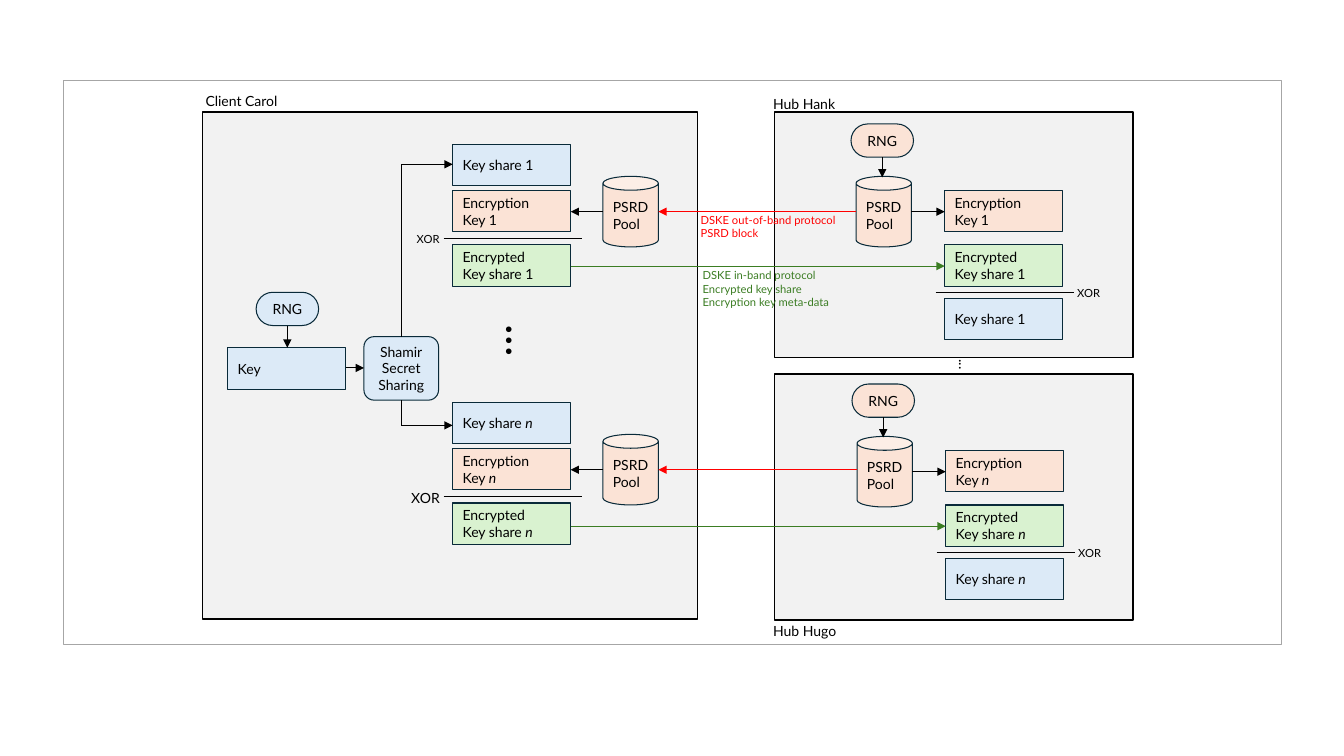
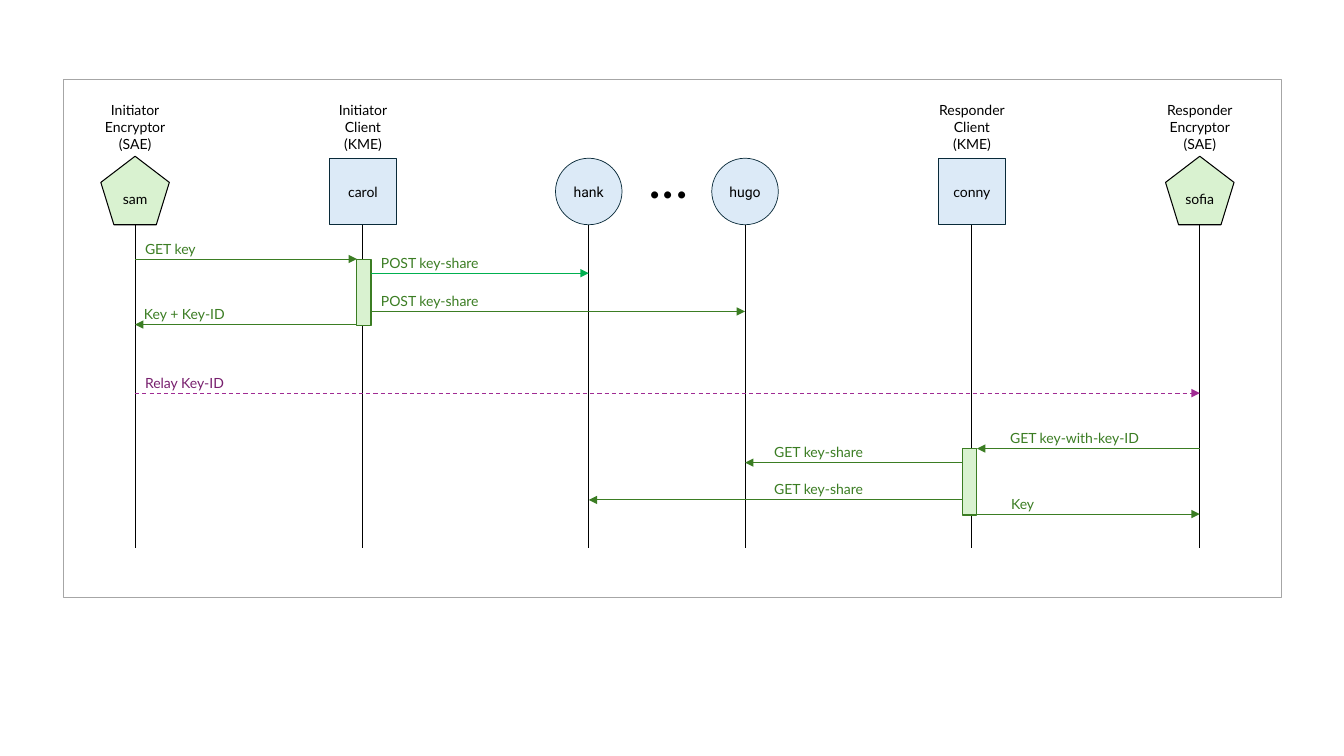
import pptx
import pptx.util
import pptx.dml.color
import pptx.enum.dml
import pptx.enum.shapes
import pptx.enum.text
import pptx.oxml.ns
import lxml.etree
from dataclasses import dataclass

SHAPE = pptx.enum.shapes.MSO_SHAPE
ALIGN = pptx.enum.text.PP_ALIGN

# Layout grid: every position and size counts cells of this grid
COLUMNS, ROWS = 1333, 750
CELL = pptx.util.Inches(0.01)


@dataclass(frozen=True)
class Theme:
    font: str = "Lato"
    node_font: str = "Roboto"
    black: str = "000000"
    outline: str = "092A39"
    frame: str = "A6A6A6"
    panel: str = "F2F2F2"
    blue: str = "DCEAF7"
    peach: str = "FBE3D6"
    mint: str = "D9F2D0"
    red: str = "FF0000"
    green: str = "3B7D23"
    bright_green: str = "00B050"
    magenta: str = "A02B93"
    purple: str = "78206E"
    body: float = 10
    small: float = 8
    tiny_dots: float = 10.5
    tall_dots: float = 32
    wide_dots: float = 40
    thin: float = 0.5
    rule: float = 0.75
    border: float = 1


T = Theme()

# Slide 1 content: key distribution
PANELS = [(768, 371, 356, 244), (768, 111, 356, 244), (201, 111, 491, 503)]
PANEL_NAMES = [("Client Carol", 194, 80), ("Hub Hank", 757, 83), ("Hub Hugo", 757, 605)]
CARD_W, CARD_H = 117, 41
POOL_W, POOL_H = 55, 70
RNG_W, RNG_H = 62, 33
CLIENT = dict(share=-46, bar=48, xor=-58, pool=149)
HUB = dict(share=107, bar=101, xor=109, pool=-88)
# side, left and top of the encryption key card, share index, XOR size
STACKS = [
    (CLIENT, 449, 189, "1", T.small),
    (CLIENT, 449, 445, "n", T.body),
    (HUB, 937, 189, "1", T.small),
    (HUB, 938, 447, "n", T.small),
]
PROTOCOLS = [
    (685, 204, T.red, ["DSKE out-of-band protocol", "PSRD block"]),
    (687, 266, T.green, ["DSKE in-band protocol", "Encrypted key share",
                         "Encryption key meta-data"]),
]
MORE_SHARES = [(483, 329, T.tall_dots), (920, 363, T.tiny_dots)]

# Slide 2 content: key delivery sequence
LIFELINE_TOP, LIFELINE_END = 223, 544
# name, centre, kind, heading
ACTORS = [
    ("sam", 134, "encryptor", ["Initiator", "Encryptor", "(SAE)"]),
    ("carol", 360, "client", ["Initiator", "Client", "(KME)"]),
    ("hank", 584, "hub", None),
    ("hugo", 739, "hub", None),
    ("conny", 964, "client", ["Responder", "Client", "(KME)"]),
    ("sofia", 1190, "encryptor", ["Responder", "Encryptor", "(SAE)"]),
]
# kind: preset, size, fill, outline, outline width, font
ACTOR_STYLES = {
    "encryptor": (SHAPE.REGULAR_PENTAGON, 68, T.mint, T.black, T.rule, T.font),
    "client": (SHAPE.RECTANGLE, 66, T.blue, T.outline, T.rule, T.font),
    "hub": (SHAPE.OVAL, 66, T.blue, T.outline, T.thin, T.node_font),
}
ACTIVE_W, ACTIVE_H = 14, 66
ACTIVE = [(354, 257), (955, 445)]
CAROL_IN, CONNY_IN = (left for left, top in ACTIVE)
CAROL_OUT, CONNY_OUT = CAROL_IN + ACTIVE_W, CONNY_IN + ACTIVE_W
SAM, HANK, HUGO, SOFIA = (ACTORS[i][1] for i in (0, 2, 3, 5))
# label, label left, row, from, to, line colour
MESSAGES = [
    ("GET key", 134, 257, SAM, CAROL_IN, T.green),
    ("POST key-share", 368, 271, CAROL_OUT, HANK, T.bright_green),
    ("POST key-share", 368, 309, CAROL_OUT, HUGO, T.green),
    ("Key + Key-ID", 133, 322, CAROL_IN, SAM, T.green),
    ("Relay Key-ID", 134, 390, SAM, SOFIA, T.magenta),
    ("GET key-with-key-ID", 992, 445, SOFIA, CONNY_OUT, T.green),
    ("GET key-share", 758, 459, CONNY_IN, HUGO, T.green),
    ("GET key-share", 758, 496, CONNY_IN, HANK, T.green),
    ("Key", 993, 510, CONNY_OUT, SOFIA, T.green),
]


def rgb(value):
    return pptx.dml.color.RGBColor.from_string(value)


def write(shape, lines, size=T.body, color=T.black, align=ALIGN.LEFT, font=T.font):
    """Fill a shape with lines; a closing index "n" is set in italics."""
    frame = shape.text_frame
    frame.word_wrap = True
    frame.vertical_anchor = pptx.enum.text.MSO_ANCHOR.MIDDLE
    for i, line in enumerate(lines):
        paragraph = frame.paragraphs[0] if i == 0 else frame.add_paragraph()
        has_index = line.endswith(" n")
        paragraph.text = line[:-1] if has_index else line
        paragraph.alignment = align
        if has_index:
            index = paragraph.add_run()
            index.text = "n"
            index.font.italic = True
        for run in paragraph.runs:
            run.font.name = font
            run.font.size = pptx.util.Pt(size)
            run.font.color.rgb = rgb(color)


def text(slide, left, top, width, height, lines, rotation=0, **style):
    box = slide.shapes.add_textbox(*(CELL * v for v in (left, top, width, height)))
    box.rotation = rotation
    write(box, lines, **style)


def block(slide, preset, left, top, width, height, fill, line=T.outline,
          weight=T.rule, lines=(), corner=None, **style):
    shape = slide.shapes.add_shape(preset, *(CELL * v for v in (left, top, width, height)))
    shape.shadow.inherit = False
    if fill:
        shape.fill.solid()
        shape.fill.fore_color.rgb = rgb(fill)
    else:
        shape.fill.background()
    shape.line.color.rgb = rgb(line)
    shape.line.width = pptx.util.Pt(weight)
    if corner is not None:
        shape.adjustments[0] = corner
    if style.get("align") == ALIGN.CENTER:
        frame = shape.text_frame
        frame.margin_left = frame.margin_right = frame.margin_top = frame.margin_bottom = 0
    write(shape, lines, **style)


def line(slide, x1, y1, x2, y2, color=T.black, arrow=False, dashed=False):
    link = slide.shapes.add_connector(pptx.enum.shapes.MSO_CONNECTOR.STRAIGHT,
                                      *(CELL * v for v in (x1, y1, x2, y2)))
    link.line.color.rgb = rgb(color)
    link.line.width = pptx.util.Pt(T.rule)
    if dashed:
        link.line.dash_style = pptx.enum.dml.MSO_LINE.DASH
    qn = pptx.oxml.ns.qn
    if arrow:
        lxml.etree.SubElement(link.line._get_or_add_ln(), qn("a:tailEnd"), type="triangle")
    lxml.etree.SubElement(link._element.spPr, qn("a:effectLst"))


def outer_frame(slide, top, height):
    block(slide, SHAPE.RECTANGLE, 63, top, 1208, height, None, T.frame)


def card(slide, left, top, fill, lines):
    block(slide, SHAPE.RECTANGLE, left, top, CARD_W, CARD_H, fill, lines=lines)


def generator(slide, left, top, fill, target):
    """RNG pill with an arrow down to the target row."""
    block(slide, SHAPE.ROUNDED_RECTANGLE, left, top, RNG_W, RNG_H, fill,
          lines=["RNG"], corner=0.5, align=ALIGN.CENTER)
    middle = left + RNG_W / 2
    line(slide, middle, top + RNG_H, middle, target, arrow=True)


def key_stack(slide, side, left, top, index, xor_size):
    """Encryption key, encrypted share, plain share and the PSRD pool."""
    card(slide, left, top + side["share"], T.blue, [f"Key share {index}"])
    card(slide, left, top + 54, T.mint, ["Encrypted", f"Key share {index}"])
    card(slide, left, top, T.peach, ["Encryption", f"Key {index}"])
    bar = top + side["bar"]
    line(slide, left - 9, bar, left + CARD_W + 11, bar)
    text(slide, left + side["xor"], bar - 20, 55, 41, ["XOR"],
         size=xor_size, align=ALIGN.RIGHT)
    pool = left + side["pool"]
    block(slide, SHAPE.CAN, pool, top - 14, POOL_W, POOL_H, T.peach, lines=["PSRD\vPool"])
    if pool > left:
        ends = pool, left + CARD_W
    else:
        ends = pool + POOL_W, left
    line(slide, ends[0], top + 21, ends[1], top + 21, arrow=True)


def distribution_slide(slide):
    for panel in PANELS:
        block(slide, SHAPE.RECTANGLE, *panel, T.panel, T.black, T.border)
    for stack in STACKS:
        key_stack(slide, *stack)

    # Client key, split into shares
    card(slide, 226, 345, T.blue, ["Key"])
    generator(slide, 254, 290, T.blue, 345)
    block(slide, SHAPE.ROUNDED_RECTANGLE, 361, 334, 74, 63, T.blue, corner=0.16,
          lines=["Shamir", "Secret", "Sharing"], align=ALIGN.CENTER)
    line(slide, 226 + CARD_W, 365, 361, 365, arrow=True)
    for start, row in ((334, 163), (397, 422)):
        line(slide, 398, start, 398, row)
        line(slide, 398, row, 449, row, arrow=True)

    # Traffic between the client and each hub
    for client, hub in zip(STACKS[:2], STACKS[2:]):
        _, client_left, client_top, *_ = client
        _, hub_left, hub_top, *_ = hub
        pool = hub_left + HUB["pool"]
        line(slide, pool, client_top + 21, client_left + CLIENT["pool"] + POOL_W,
             client_top + 21, T.red, arrow=True)
        line(slide, client_left + CARD_W, hub_top + 75, hub_left, hub_top + 75,
             T.green, arrow=True)
        generator(slide, pool - 5, hub_top - 66, T.peach, hub_top - 13)

    # Names, ellipses and protocol notes
    for name, left, top in PANEL_NAMES:
        text(slide, left, top, 153, 41, [name])
    for left, top, size in MORE_SHARES:
        text(slide, left, top, 74, 41, ["..."], rotation=90, size=size)
    outer_frame(slide, 80, 559)
    for left, top, color, lines in PROTOCOLS:
        text(slide, left, top, 251, 41, lines, size=T.small, color=color)


def sequence_slide(slide):
    outer_frame(slide, 79, 514)

    # Actors with their lifelines
    for name, centre, kind, heading in ACTORS:
        preset, size, fill, outline, weight, font = ACTOR_STYLES[kind]
        block(slide, preset, centre - size / 2, LIFELINE_TOP - size, size, size, fill,
              outline, weight, [name], align=ALIGN.CENTER, font=font)
        line(slide, centre, LIFELINE_TOP, centre, LIFELINE_END)
        if heading:
            text(slide, centre - 44, 93, 88, 66, heading, align=ALIGN.CENTER)
    text(slide, 597, 142, 132, 66, ["..."], size=T.wide_dots, align=ALIGN.CENTER)

    # Active periods and messages
    for left, top in ACTIVE:
        block(slide, SHAPE.RECTANGLE, left, top, ACTIVE_W, ACTIVE_H, T.mint, T.green)
    for label, left, row, start, end, color in MESSAGES:
        relayed = color == T.magenta
        line(slide, start, row, end, row, color, arrow=True, dashed=relayed)
        text(slide, left, row - 27, 197, 33, [label],
             color=T.purple if relayed else T.green)


def main():
    deck = pptx.Presentation()
    deck.slide_width, deck.slide_height = CELL * COLUMNS, CELL * ROWS
    for build in (distribution_slide, sequence_slide):
        build(deck.slides.add_slide(deck.slide_layouts[6]))
    deck.save("out.pptx")


if __name__ == "__main__":
    main()
